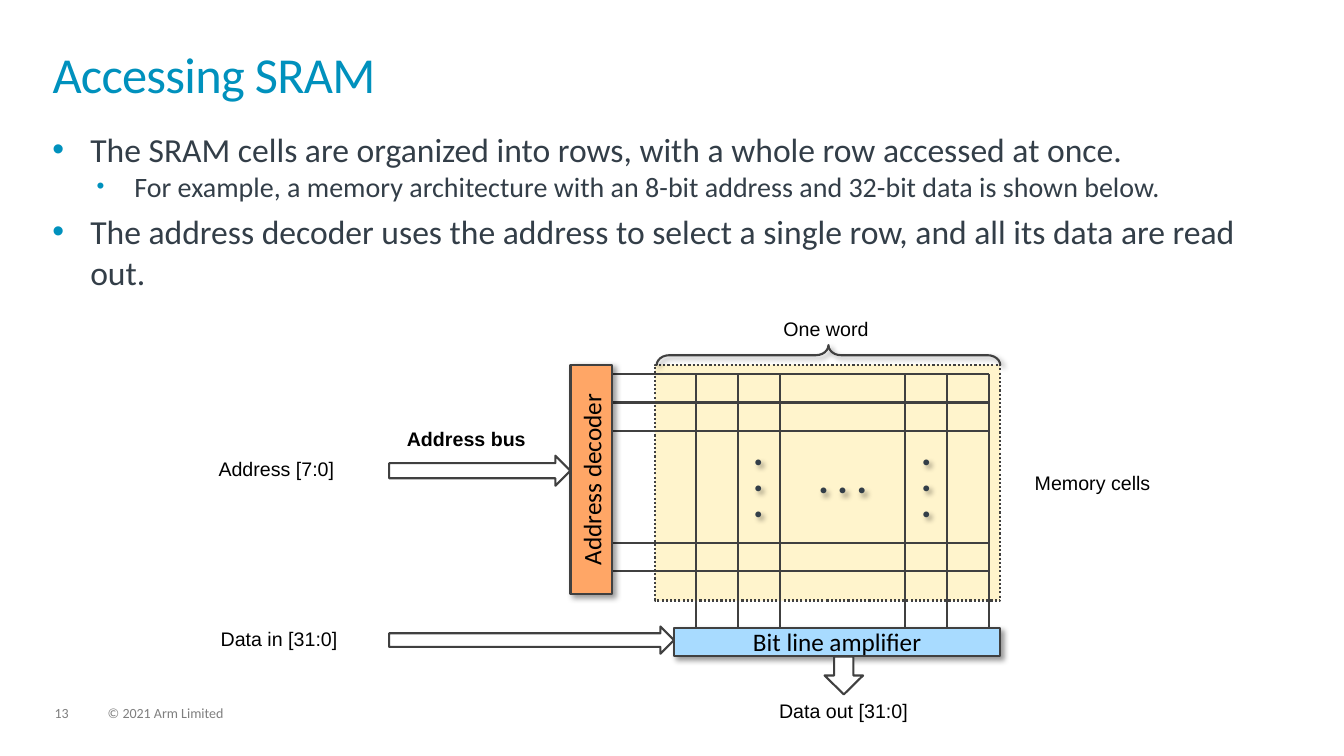
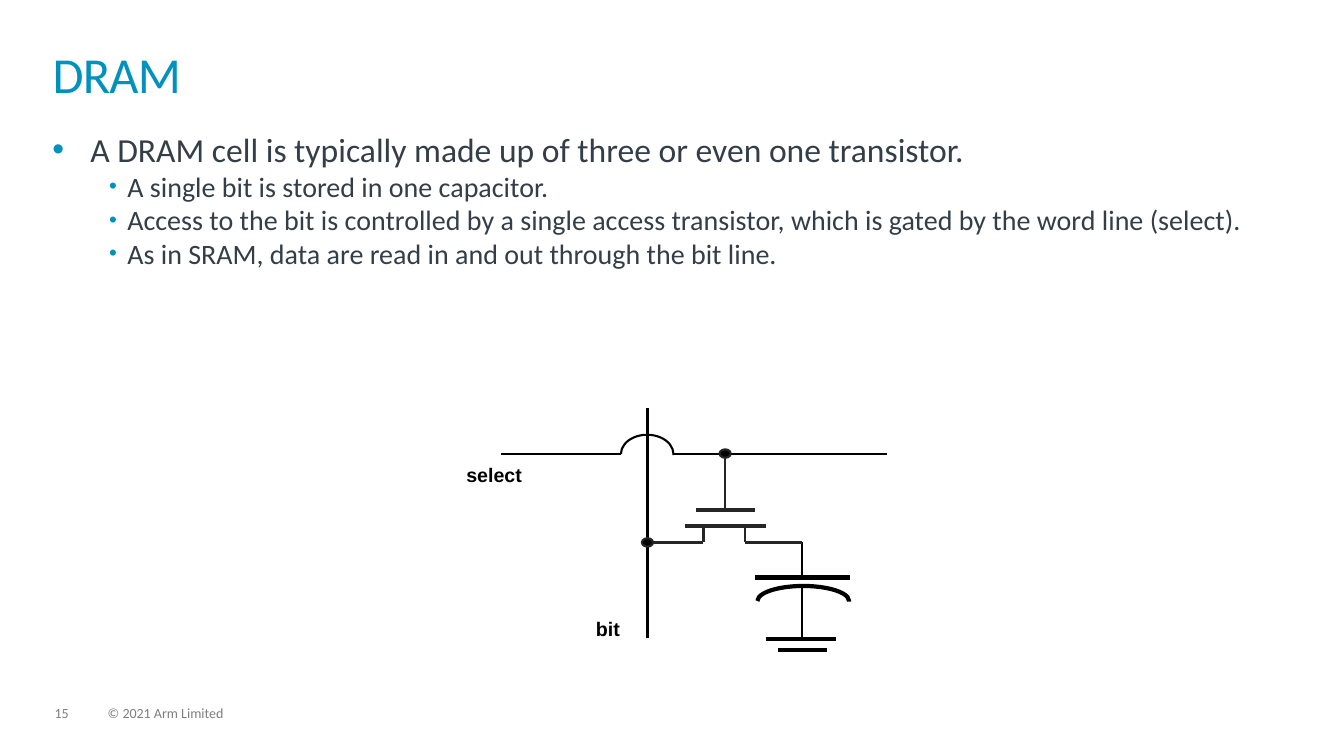
from lxml import etree
from pptx import Presentation
from pptx.dml.color import RGBColor
from pptx.enum import dml, shapes, text
from pptx.oxml.ns import qn
from pptx.util import Pt

COLOURS = {
    "title": "0091BD", "body": "333E48", "footer": "7F7F7F",
    "outline": "404040", "transistor": "262626", "black": "000000", "white": "FFFFFF",
    "cells": "FFF4CC", "decoder": "FFA666", "amplifier": "A8DBFF",
}
SHAPE = shapes.MSO_SHAPE
ALIGN = text.PP_ALIGN


def colour(name):
    return RGBColor.from_string(COLOURS[name])


def child(parent, tag, **attributes):
    """Append a drawing element with the given attributes."""
    return etree.SubElement(parent, qn(tag), {key: str(value) for key, value in attributes.items()})


class Deck:
    """Holds the shared style and the slide being filled."""

    heading_font, label_font = "Calibri", "Arial"
    left, width = 37.5, 884
    # indents are (text start, first-line offset) in points
    levels = {0: (24, 6, 100), 1: (20, 0, 80)}

    def __init__(self):
        self.file = Presentation()
        self.file.slide_width, self.file.slide_height = Pt(960), Pt(540)
        self.slide = None

    def page(self, number, heading):
        self.slide = self.file.slides.add_slide(self.file.slide_layouts[5])
        title = self.slide.shapes.title
        title.left, title.top = Pt(self.left), Pt(37.5)
        title.width, title.height = Pt(self.width), Pt(52)
        self.frame(title, inset=False)
        title.text_frame.text = heading
        para = title.text_frame.paragraphs[0]
        para.line_spacing = 0.85
        self.style(para, 36, "title")
        para.runs[0].font._element.set("spc", "-50")
        for x, width, words in ((39, 24, str(number)), (77, 365, "© 2021 Arm Limited")):
            self.small_text(words, x, 504.5, width, 11, 10, "footer")

    def frame(self, box, inset=True, wrap=True, anchor=text.MSO_ANCHOR.TOP):
        frame = box.text_frame
        frame.word_wrap = wrap
        frame.auto_size = text.MSO_AUTO_SIZE.NONE
        frame.vertical_anchor = anchor
        if not inset:
            frame.margin_left = frame.margin_top = frame.margin_right = frame.margin_bottom = 0
        return frame

    def style(self, para, size, ink, font=heading_font, bold=False, align=ALIGN.LEFT):
        para.alignment = align
        for span in para.runs:
            span.font.name, span.font.size, span.font.bold = font, Pt(size), bold
            span.font.color.rgb = colour(ink)

    def text_box(self, x, y, width, height, **layout):
        box = self.slide.shapes.add_textbox(Pt(x), Pt(y), Pt(width), Pt(height))
        self.frame(box, **layout)
        return box

    def small_text(self, words, x, y, width, height, size, ink, bold=False, wrap=True):
        """Tightly set text without insets."""
        box = self.text_box(x, y, width, height, inset=False, wrap=wrap)
        box.text_frame.text = words
        para = box.text_frame.paragraphs[0]
        para.line_spacing, para.space_after = 0.9, Pt(6)
        self.style(para, size, ink, bold=bold)
        return box

    def label(self, words, x, y, width, bold=False, align=ALIGN.LEFT):
        box = self.text_box(x, y, width, 24.5)
        box.text_frame.text = words
        self.style(box.text_frame.paragraphs[0], 14, "black", self.label_font, bold, align)

    def dot(self, x, y):
        self.shadow(self.small_text(".", x, y, 8, 30, 28, "body", bold=True, wrap=False))

    def bullets(self, items, sub_indent):
        """Fill the body with (level, words) pairs."""
        frame = self.text_box(self.left, 92, self.width, 390, inset=False).text_frame
        for index, (level, words) in enumerate(items):
            para = frame.add_paragraph() if index else frame.paragraphs[0]
            para.text, para.level = words, level
            size, before, scale = self.levels[level]
            para.space_before = Pt(before if index else 0)
            start, offset = sub_indent if level else (27, -27)
            props = para._p.get_or_add_pPr()
            props.set("marL", str(Pt(start)))
            props.set("indent", str(Pt(offset)))
            child(child(props, "a:buClr"), "a:srgbClr", val=COLOURS["title"])
            child(props, "a:buSzPct", val=scale * 1000)
            child(props, "a:buFont", typeface=self.label_font)
            child(props, "a:buChar", char="•")
            self.style(para, size, "body")

    def shadow(self, shape):
        shape.shadow.inherit = False
        effects = shape._element.spPr.find(qn("a:effectLst"))
        outer = child(effects, "a:outerShdw", blurRad=Pt(4), dist=Pt(3), dir=45 * 60000,
                      algn="tl", rotWithShape=0)
        child(child(outer, "a:srgbClr", val=COLOURS["black"]), "a:alpha", val=40000)

    def shape(self, kind, x, y, width, height, fill=None, ink="outline", weight=1.5,
              turn=0, adjust=(), shadow=False):
        shape = self.slide.shapes.add_shape(kind, Pt(x), Pt(y), Pt(width), Pt(height))
        shape.rotation = turn
        for index, value in enumerate(adjust):
            shape.adjustments[index] = value
        if fill:
            shape.fill.solid()
            shape.fill.fore_color.rgb = colour(fill)
        else:
            shape.fill.background()
        shape.line.color.rgb, shape.line.width = colour(ink), Pt(weight)
        shape.shadow.inherit = False
        if shadow:
            self.shadow(shape)
        return shape

    def block(self, words, x, y, width, height, fill, upright=False):
        """Shadowed rectangle with a centred caption, optionally reading upwards."""
        box = self.shape(SHAPE.RECTANGLE, x, y, width, height, fill, shadow=True)
        frame = self.frame(box, wrap=False, anchor=text.MSO_ANCHOR.MIDDLE)
        frame.text = words
        self.style(frame.paragraphs[0], 18, "black", align=ALIGN.CENTER)
        if upright:
            frame._txBody.bodyPr.set("vert", "vert270")

    def line(self, x1, y1, x2, y2, ink="outline", weight=1.5):
        line = self.slide.shapes.add_connector(
            shapes.MSO_CONNECTOR.STRAIGHT, Pt(x1), Pt(y1), Pt(x2), Pt(y2))
        line.line.color.rgb, line.line.width = colour(ink), Pt(weight)
        child(line._element.spPr, "a:effectLst")


def sram_page(deck):
    deck.page(13, "Accessing SRAM")
    deck.bullets([
        (0, "The SRAM cells are organized into rows, with a whole row accessed at once."),
        (1, "For example, a memory architecture with an 8-bit address and 32-bit data "
            "is shown below."),
        (0, "The address decoder uses the address to select a single row, "
            "and all its data are read out."),
    ], sub_indent=(58.5, -27))

    cells = deck.shape(SHAPE.RECTANGLE, 468, 260.5, 246.5, 168.5, "cells")
    cells.line.dash_style = dml.MSO_LINE.ROUND_DOT
    top, right = 267, 706.5
    for start in (497, 646.5):
        for column in range(3):
            x = start + 30 * column
            deck.line(x, top, x, 448.5)
    for y in (top, 287.5, 308, 388, 408):
        deck.line(437, y, right, y)

    deck.block("Address decoder", 407.5, 260.5, 29.5, 164, "decoder", upright=True)
    deck.block("Bit line amplifier", 481.5, 448.5, 233, 20, "amplifier")
    deck.shape(SHAPE.RIGHT_ARROW, 278, 325.5, 129.5, 21.5)
    deck.shape(SHAPE.RIGHT_ARROW, 278, 447.5, 203.5, 19.5, "white")
    deck.shape(SHAPE.DOWN_ARROW, 589, 469, 27.5, 27, "white")
    deck.shape(SHAPE.LEFT_BRACE, 584.5, 131, 14.5, 245.5, turn=90, adjust=(0.62, 0.5),
               shadow=True)

    deck.label("Address [7:0]", 149, 322.5, 134)
    deck.label("Data in [31:0]", 150.5, 444.5, 134)
    deck.label("Data out [31:0]", 548, 496, 109, align=ALIGN.CENTER)
    deck.label("Memory cells", 732, 332.5, 159)
    deck.label("One word", 548, 222.5, 84, align=ALIGN.CENTER)
    deck.label("Address bus", 283.5, 301.5, 134, bold=True)

    for step in range(3):
        for x in (538, 658):
            deck.dot(x, 308 + 18.7 * step)
        deck.dot(584.5 + 13.7 * step, 328.5)


def dram_page(deck):
    deck.page(15, "DRAM")
    deck.bullets([
        (0, "A DRAM cell is typically made up of three or even one transistor."),
        (1, "A single bit is stored in one capacitor."),
        (1, "Access to the bit is controlled by a single access transistor, "
            "which is gated by the word line (select)."),
        (1, "As in SRAM, data are read in and out through the bit line."),
    ], sub_indent=(53.5, -13))

    bit_x, gate_x, store_x = 462.5, 518, 573
    select_y, source_y, channel_y, gate_y = 324, 387.5, 376, 364.5
    plate_y, ground_y = 412.5, 456.5

    thin_lines = [
        (bit_x, 456, bit_x, 291.5),
        (481, select_y, 633.5, select_y),
        (358, select_y, 443.5, select_y),
        (store_x, source_y, store_x, plate_y),
        (store_x, 419, store_x, ground_y),
    ]
    plates = [(539.5, 607, plate_y), (547, 597.5, ground_y), (556, 590.5, 464.5)]
    for ends in thin_lines:
        deck.line(*ends, ink="black")
    for x1, x2, y in plates:
        deck.line(x1, y, x2, y, ink="black", weight=3)
    deck.shape(SHAPE.ARC, 448.5, 305.5, 27.5, 37.5, ink="black", turn=270,
               adjust=(162, 55.39))
    deck.shape(SHAPE.ARC, 563, 396.5, 21.5, 65.5, ink="black", weight=3, turn=270,
               adjust=(162, 54.43))
    deck.label("bit", 409, 437, 50.5, bold=True, align=ALIGN.CENTER)
    deck.label("select", 326, 327, 96.5, bold=True)

    for x, outer_x in ((502.5, bit_x), (532, store_x)):
        deck.line(x, source_y, x, channel_y, ink="transistor")
        deck.line(outer_x, source_y, x, source_y, ink="transistor")
    for x1, x2, y in ((489.5, 547.5, channel_y), (497, 539.5, gate_y)):
        deck.line(x1, y, x2, y, ink="transistor", weight=3)
    deck.line(gate_x, gate_y, gate_x, select_y, ink="transistor")
    for x, y in ((bit_x, source_y), (gate_x, select_y)):
        deck.shape(SHAPE.OVAL, x - 4, y - 3, 8, 6, "black", ink="transistor")


def main():
    deck = Deck()
    sram_page(deck)
    dram_page(deck)
    deck.file.save("out.pptx")


if __name__ == "__main__":
    main()
